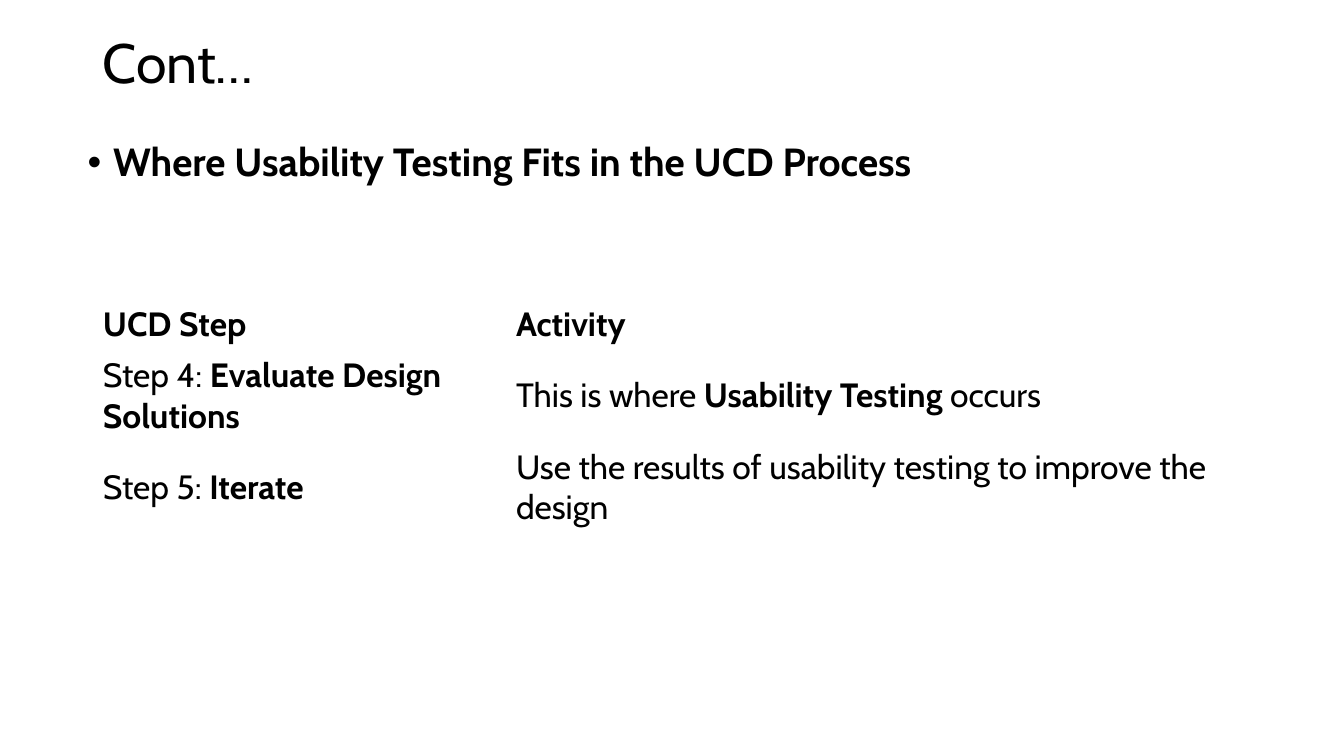
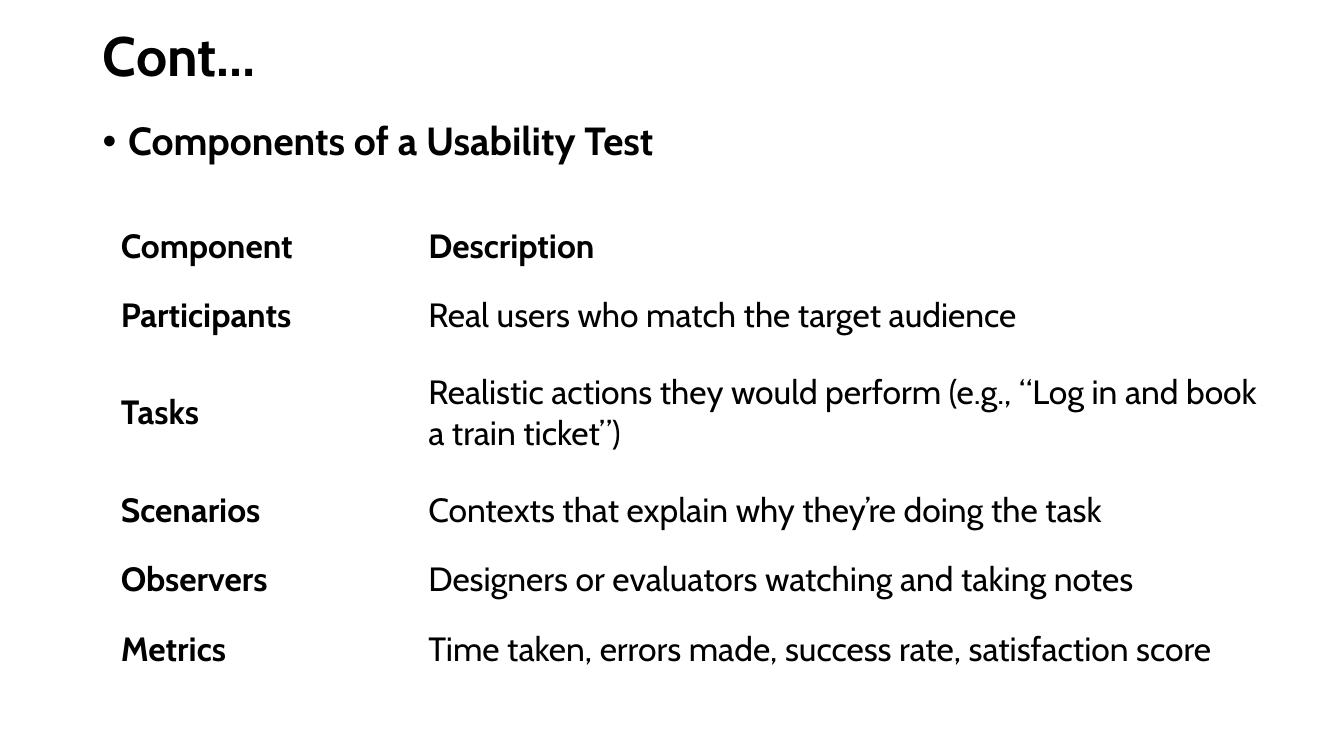
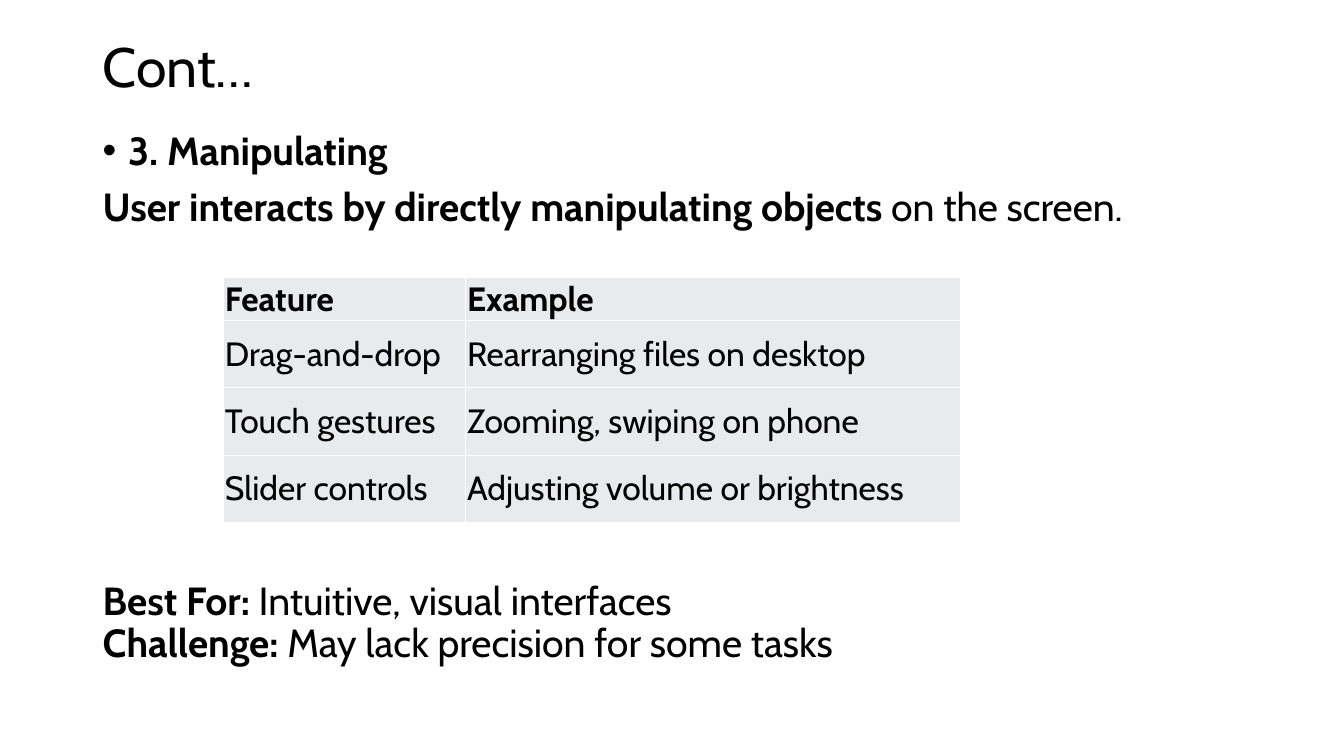
from dataclasses import dataclass
from typing import NamedTuple

from lxml import etree
from pptx import Presentation
from pptx.dml.color import RGBColor
from pptx.enum.text import MSO_ANCHOR, MSO_AUTO_SIZE, PP_ALIGN
from pptx.oxml.ns import qn
from pptx.util import Cm, Pt

LEFT = PP_ALIGN.LEFT
MIDDLE = MSO_ANCHOR.MIDDLE
NO_FIT = MSO_AUTO_SIZE.NONE
TITLE_ONLY = 5


@dataclass(frozen=True)
class Theme:
    font: str = "Cabin"
    ink: RGBColor = RGBColor(0, 0, 0)
    tint: RGBColor = RGBColor(0xE8, 0xEA, 0xED)
    rule: str = "FFFFFF"
    title: float = 39.6
    body: float = 28
    cell: float = 24
    lead: float = 0.9
    gap: float = 10
    left: float = 2.34
    top: float = 1.02
    width: float = 29.21
    hang: float = 0.64


THEME = Theme()


class Run(NamedTuple):
    text: str
    bold: bool = False


class Line(NamedTuple):
    runs: list[Run]
    bullet: bool = False


class Block(NamedTuple):
    left: float
    top: float
    height: float
    lines: list[Line]
    gap: float = THEME.gap


class Grid(NamedTuple):
    left: float
    top: float
    cols: list[float]
    rows: list[float]
    cells: list[list[list[Run]]]
    inset: float | None = None
    tinted: bool = False


class Page(NamedTuple):
    title: Run
    height: float
    blocks: list[Block]
    grid: Grid


def bold(text: str) -> Run:
    return Run(text, True)


def head(*names: str) -> list[list[Run]]:
    return [[bold(name)] for name in names]


def write(para, runs: list[Run], size: float) -> None:
    para.alignment = LEFT
    for run in runs:
        part = para.add_run()
        part.text = run.text
        font = part.font
        font.name, font.size, font.bold = THEME.font, Pt(size), run.bold
        font.color.rgb = THEME.ink


def add_bullet(para) -> None:
    props = para._p.get_or_add_pPr()
    props.set("marL", str(Cm(THEME.hang)))
    props.set("indent", str(-Cm(THEME.hang)))
    etree.SubElement(props, qn("a:buFont"), typeface="Arial")
    etree.SubElement(props, qn("a:buChar"), char="•")


def add_title(slide, title: Run, height: float) -> None:
    shape = slide.shapes.title
    shape.left, shape.top = Cm(THEME.left), Cm(THEME.top)
    shape.width, shape.height = Cm(THEME.width), Cm(height)
    frame = shape.text_frame
    frame.auto_size = NO_FIT
    frame.vertical_anchor = MIDDLE
    para = frame.paragraphs[0]
    para.line_spacing = THEME.lead
    write(para, [title], THEME.title)


def add_block(slide, block: Block) -> None:
    box = slide.shapes.add_textbox(
        Cm(block.left), Cm(block.top), Cm(THEME.width), Cm(block.height))
    frame = box.text_frame
    frame.word_wrap = True
    for i, line in enumerate(block.lines):
        para = frame.add_paragraph() if i else frame.paragraphs[0]
        if line.bullet:
            add_bullet(para)
        para.line_spacing = THEME.lead
        para.space_before = Pt(block.gap if i else 0)
        write(para, line.runs, THEME.body)


def add_rules(cell) -> None:
    """Draw a thin line on all four sides of a cell."""
    props = cell._tc.get_or_add_tcPr()
    for side in "LRTB":
        edge = etree.SubElement(props, qn(f"a:ln{side}"), w=str(Pt(1)))
        fill = etree.SubElement(edge, qn("a:solidFill"))
        etree.SubElement(fill, qn("a:srgbClr"), val=THEME.rule)


def style_cell(cell, grid: Grid) -> None:
    cell.vertical_anchor = MIDDLE
    if grid.inset is not None:
        cell.margin_left = cell.margin_right = Cm(grid.inset)
        cell.margin_top = cell.margin_bottom = Cm(grid.inset)
    if grid.tinted:
        add_rules(cell)
        cell.fill.solid()
        cell.fill.fore_color.rgb = THEME.tint
    else:
        cell.fill.background()


def add_grid(slide, grid: Grid) -> None:
    table = slide.shapes.add_table(
        len(grid.rows), len(grid.cols), Cm(grid.left), Cm(grid.top),
        Cm(sum(grid.cols)), Cm(sum(grid.rows))).table
    table.first_row = table.horz_banding = False
    for col, width in zip(table.columns, grid.cols):
        col.width = Cm(width)
    for row, height, texts in zip(table.rows, grid.rows, grid.cells):
        row.height = Cm(height)
        for cell, runs in zip(row.cells, texts):
            style_cell(cell, grid)
            write(cell.text_frame.paragraphs[0], runs, THEME.cell)


PARTS = [
    ("Participants", "Real users who match the target audience"),
    ("Tasks", "Realistic actions they would perform "
              "(e.g., “Log in and book a train ticket”)"),
    ("Scenarios", "Contexts that explain why they’re doing the task"),
    ("Observers", "Designers or evaluators watching and taking notes"),
    ("Metrics", "Time taken, errors made, success rate, satisfaction score"),
]
FEATURES = [
    ("Drag-and-drop", "Rearranging files on desktop"),
    ("Touch gestures", "Zooming, swiping on phone"),
    ("Slider controls", "Adjusting volume or brightness"),
]

PAGES = [
    Page(
        Run("Cont…"), 1.24,
        [Block(1.96, 3.48, 1.4, [
            Line([bold("Where Usability Testing Fits in the UCD Process")],
                 bullet=True)])],
        Grid(THEME.left, 7.54, [10.41, 18.8], [1.28, 2.31, 2.31], [
            head("UCD Step", "Activity"),
            [[Run("Step 4: "), bold("Evaluate Design Solutions")],
             [Run("This is where "), bold("Usability Testing"),
              Run(" occurs")]],
            [[Run("Step 5: "), bold("Iterate")],
             [Run("Use the results of usability testing "
                  "to improve the design")]],
        ]),
    ),
    Page(
        bold("Cont…"), 0.89,
        [Block(THEME.left, 2.95, 1.4, [
            Line([bold("Components of a Usability Test")], bullet=True)])],
        Grid(2.79, 5.33, [7.75, 21.46],
             [1.75, 1.75, 3.15, 1.75, 1.75, 1.75],
             [head("Component", "Description")]
             + [[[bold(name)], [Run(text)]] for name, text in PARTS]),
    ),
    Page(
        Run("Cont…"), 1.45,
        [
            Block(THEME.left, 3.18, 2.8, [
                Line([bold("3. Manipulating")], bullet=True),
                Line([bold("User interacts by directly manipulating objects"),
                      Run(" on the screen.")])]),
            Block(THEME.left, 14.53, 2.4, [
                Line([bold("Best For:"),
                      Run(" Intuitive, visual interfaces")]),
                Line([bold("Challenge:"),
                      Run(" May lack precision for some tasks")])], gap=0),
        ],
        Grid(5.64, 6.99, [6.1, 12.47], [1.08, 1.7, 1.7, 1.7],
             [head("Feature", "Example")]
             + [[[Run(name)], [Run(text)]] for name, text in FEATURES],
             inset=0.03, tinted=True),
    ),
]


def main() -> None:
    deck = Presentation()
    deck.slide_width, deck.slide_height = Cm(33.87), Cm(19.05)
    for page in PAGES:
        slide = deck.slides.add_slide(deck.slide_layouts[TITLE_ONLY])
        add_title(slide, page.title, page.height)
        for block in page.blocks:
            add_block(slide, block)
        add_grid(slide, page.grid)
    deck.save("out.pptx")


if __name__ == "__main__":
    main()
